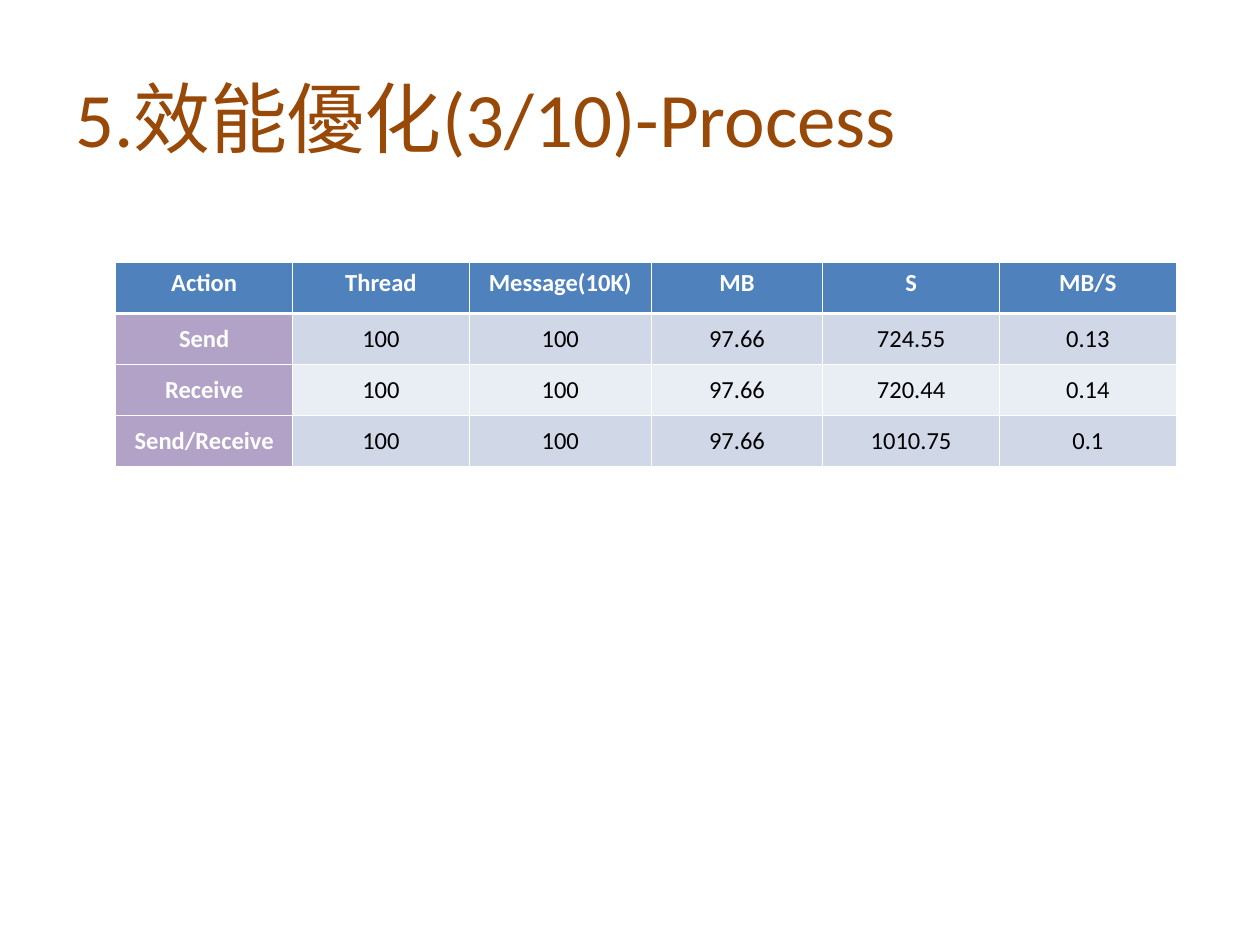
"""Build the process performance slide with its throughput table."""
import pptx
import pptx.dml.color
import pptx.enum.text
import pptx.oxml
import pptx.oxml.ns
import pptx.util

Pt = pptx.util.Pt
RGBColor = pptx.dml.color.RGBColor
ALIGN = pptx.enum.text.PP_ALIGN
ANCHOR = pptx.enum.text.MSO_ANCHOR

TITLE = "5.效能優化(3/10)-Process"
ROWS = [
    ("Action", "Thread", "Message(10K)", "MB", "S", "MB/S"),
    ("Send", "100", "100", "97.66", "724.55", "0.13"),
    ("Receive", "100", "100", "97.66", "720.44", "0.14"),
    ("Send/Receive", "100", "100", "97.66", "1010.75", "0.1"),
]
COLUMN_WIDTHS = [101, 101, 104, 98, 101, 101]
ROW_HEIGHT = 29.2
TABLE_LEFT, TABLE_TOP = 66.2, 149.9
THIN, THICK = 0.45, 1.47

BROWN = RGBColor(0x98, 0x48, 0x07)
WHITE = RGBColor(0xFF, 0xFF, 0xFF)
BLACK = RGBColor(0x00, 0x00, 0x00)
BLUE = RGBColor(0x4F, 0x81, 0xBD)
PURPLE = RGBColor(0xB3, 0xA2, 0xC7)
BANDS = [RGBColor(0xE9, 0xED, 0xF4), RGBColor(0xD0, 0xD8, 0xE8)]


def write(frame, text, size, color, bold=False, align=ALIGN.LEFT):
    para = frame.paragraphs[0]
    para.alignment = align
    span = para.add_run()
    span.text = text
    span.font.name = "Calibri"
    span.font.size = Pt(size)
    span.font.bold = bold
    span.font.color.rgb = color


def add_borders(cell, top, bottom):
    properties = cell._tc.get_or_add_tcPr()
    for side, width in (("L", THIN), ("R", THIN), ("T", top), ("B", bottom)):
        properties.append(pptx.oxml.parse_xml(
            f'<a:ln{side} {pptx.oxml.ns.nsdecls("a")} w="{int(Pt(width))}">'
            f'<a:solidFill><a:srgbClr val="{WHITE}"/></a:solidFill></a:ln{side}>'))


def add_title(page):
    box = page.shapes.add_textbox(Pt(36), Pt(21.6), Pt(648), Pt(90))
    box.text_frame.word_wrap = True
    box.text_frame.vertical_anchor = ANCHOR.MIDDLE
    write(box.text_frame, TITLE, size=44, color=BROWN)


def add_results(page):
    table = page.shapes.add_table(
        len(ROWS), len(COLUMN_WIDTHS), Pt(TABLE_LEFT), Pt(TABLE_TOP),
        Pt(sum(COLUMN_WIDTHS)), Pt(ROW_HEIGHT * len(ROWS))).table
    for column, width in zip(table.columns, COLUMN_WIDTHS):
        column.width = Pt(width)
    for r, values in enumerate(ROWS):
        table.rows[r].height = Pt(ROW_HEIGHT)
        for c, value in enumerate(values):
            cell = table.cell(r, c)
            heading = r == 0 or c == 0
            cell.vertical_anchor = ANCHOR.MIDDLE if r else ANCHOR.TOP
            add_borders(cell, top=THICK if r == 1 else THIN,
                        bottom=THICK if r == 0 else THIN)
            cell.fill.solid()
            cell.fill.fore_color.rgb = (
                BLUE if r == 0 else PURPLE if c == 0 else BANDS[r % 2])
            write(cell.text_frame, value, size=14, bold=heading,
                  color=WHITE if heading else BLACK, align=ALIGN.CENTER)


def main():
    deck = pptx.Presentation()
    deck.slide_width, deck.slide_height = Pt(720), Pt(540)
    page = deck.slides.add_slide(deck.slide_layouts[6])
    add_title(page)
    add_results(page)
    deck.save("out.pptx")


if __name__ == "__main__":
    main()
